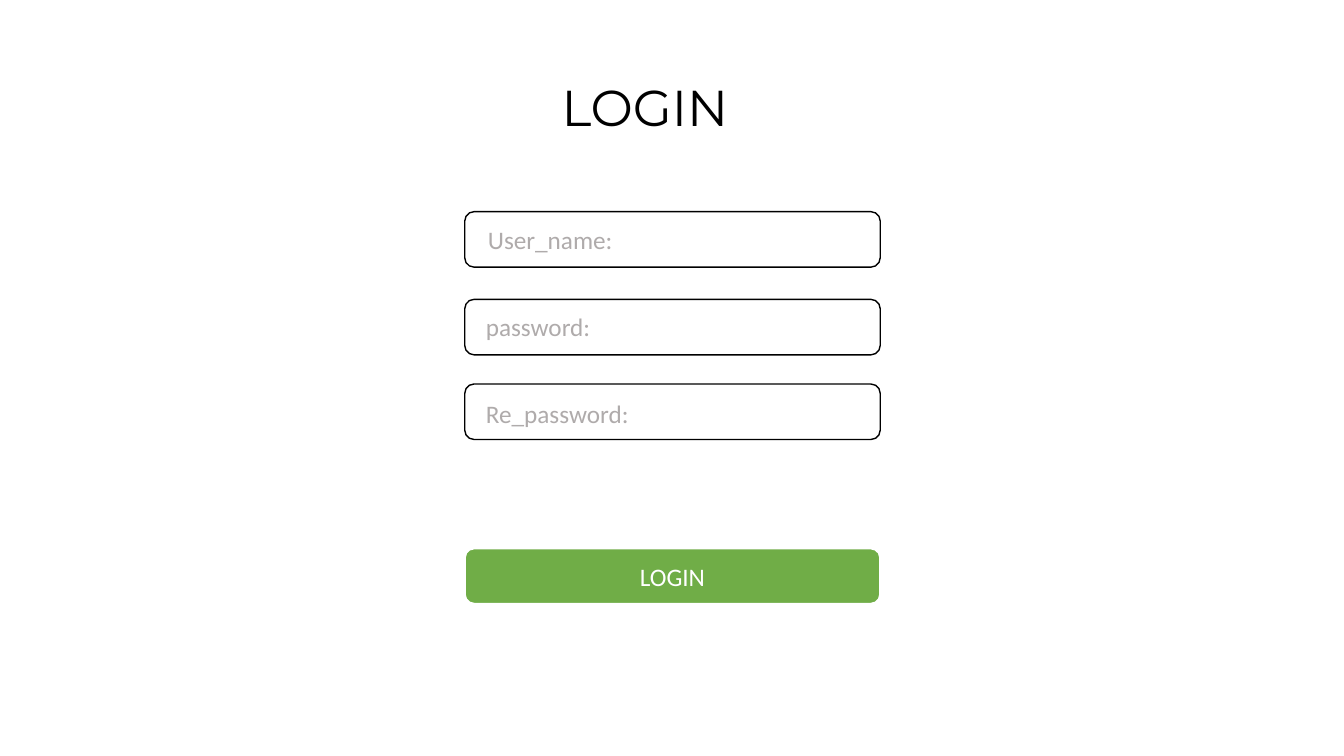
from dataclasses import dataclass

from pptx import Presentation
from pptx import util as u
from pptx.dml.color import RGBColor
from pptx.enum import shapes, text

PX = 9144
BOX_LEFT, BOX_WIDTH, BOX_HEIGHT = 461, 412, 55
LABEL_WIDTH, LABEL_HEIGHT = 261, 40


@dataclass(frozen=True)
class Field:
    prompt: str
    box_top: int
    label_left: int
    label_top: int


FIELDS = [
    Field("User_name:", 210, 474, 218),
    Field("password:", 297, 472, 304),
    Field("Re_password:", 381, 472, 390),
]


def px(*lengths: int) -> list[u.Emu]:
    return [u.Emu(length * PX) for length in lengths]


def colour(code: str) -> RGBColor:
    return RGBColor.from_string(code)


def write(target, words: str, size: int, font: str, ink: str,
          align=text.PP_ALIGN.LEFT, anchor=text.MSO_ANCHOR.TOP) -> None:
    frame = target.text_frame
    frame.text = words
    frame_format = {"word_wrap": True, "vertical_anchor": anchor,
                    "auto_size": text.MSO_AUTO_SIZE.NONE}
    for key, value in frame_format.items():
        setattr(frame, key, value)
    paragraph = frame.paragraphs[0]
    paragraph.alignment = align
    paragraph.line_spacing = 1.0
    run_font = paragraph.runs[0].font
    for key, value in {"size": u.Pt(size), "name": font, "bold": False}.items():
        setattr(run_font, key, value)
    run_font.color.rgb = colour(ink)


def draw_box(slide, top: int, fill: str, line: str, weight: float):
    box = slide.shapes.add_shape(shapes.MSO_SHAPE.ROUNDED_RECTANGLE,
                                 *px(BOX_LEFT, top, BOX_WIDTH, BOX_HEIGHT))
    box.shadow.inherit = False
    box.fill.solid()
    box.fill.fore_color.rgb = colour(fill)
    box.line.color.rgb = colour(line)
    box.line.width = u.Pt(weight)
    return box


def draw_field(slide, field: Field) -> None:
    draw_box(slide, field.box_top, "FFFFFF", "000000", 1)
    prompt = slide.shapes.add_textbox(
        *px(field.label_left, field.label_top, LABEL_WIDTH, LABEL_HEIGHT))
    write(prompt, field.prompt, 18, "Calibri", "AFABAB")


def main() -> None:
    deck = Presentation()
    deck.slide_width, deck.slide_height = px(1333, 750)
    slide = deck.slides.add_slide(deck.slide_layouts[5])

    heading = slide.shapes.title
    heading.left, heading.top, heading.width, heading.height = px(406, 70, 467, 71)
    write(heading, "LOGIN", 36, "Montserrat", "000000", text.PP_ALIGN.CENTER)

    for field in FIELDS:
        draw_field(slide, field)

    login_button = draw_box(slide, 544, "70AD47", "FFFFFF", 1.5)
    write(login_button, "LOGIN", 18, "Calibri", "FFFFFF",
          text.PP_ALIGN.CENTER, text.MSO_ANCHOR.MIDDLE)

    deck.save("out.pptx")


if __name__ == "__main__":
    main()
